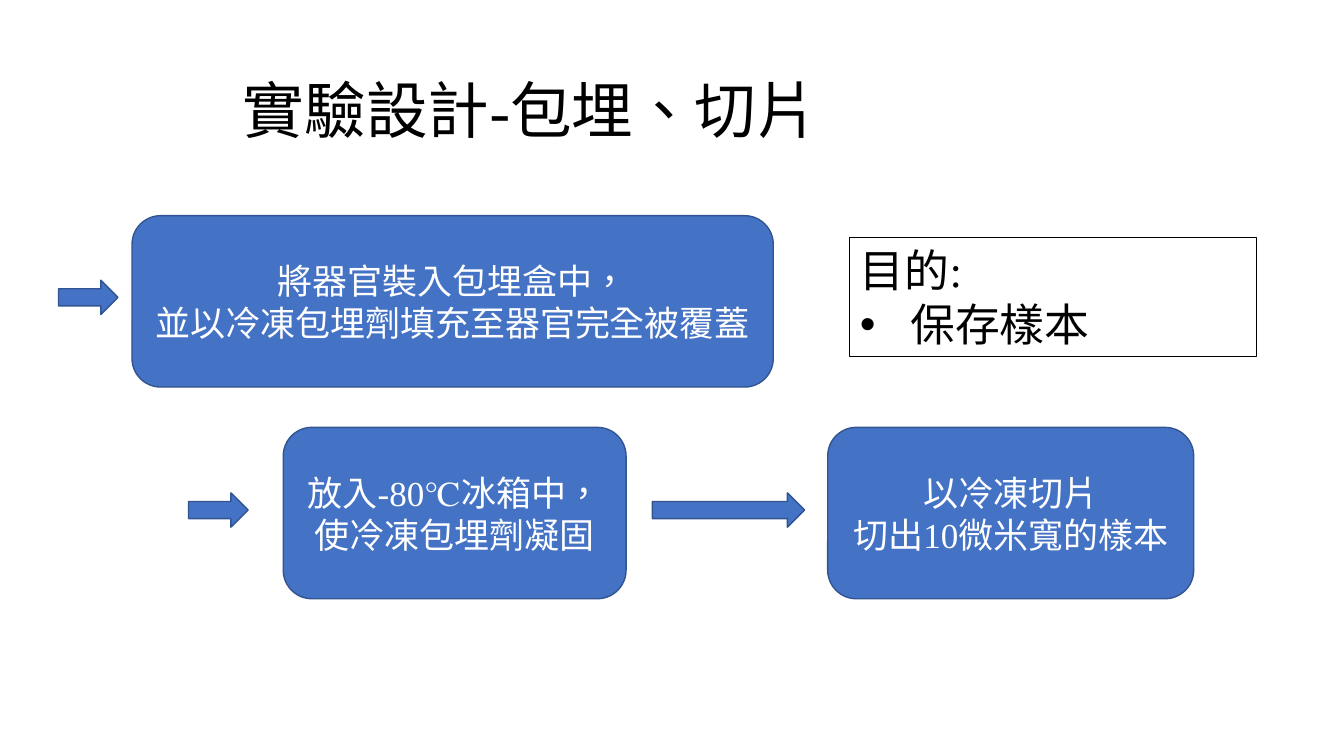
from dataclasses import dataclass

from lxml import etree
from pptx import Presentation
from pptx.dml.color import RGBColor as Rgb
from pptx.enum.lang import MSO_LANGUAGE_ID as Lang
from pptx.enum.shapes import MSO_SHAPE as Shape
from pptx.enum.text import MSO_ANCHOR as Anchor, PP_ALIGN as Align
from pptx.oxml.ns import qn
from pptx.util import Inches, Pt


@dataclass(frozen=True)
class Theme:
    font: str = "Times New Roman"
    blue: Rgb = Rgb(0x44, 0x72, 0xC4)
    edge: Rgb = Rgb(0x32, 0x54, 0x91)
    black: Rgb = Rgb(0, 0, 0)
    white: Rgb = Rgb(255, 255, 255)
    head: int = 44
    goal: int = 32
    step: int = 25


THEME = Theme()


def write(box, text, size, color=THEME.black, align=Align.LEFT,
          anchor=Anchor.MIDDLE, space=None):
    """Fill a box with one paragraph per line of text."""
    frame = box.text_frame
    frame.word_wrap = True
    frame.vertical_anchor = anchor
    for i, line in enumerate(text.split("\n")):
        para = frame.add_paragraph() if i else frame.paragraphs[0]
        para.alignment = align
        para.line_spacing = space
        run = para.add_run()
        run.text = line
        font = run.font
        font.name, font.size = THEME.font, Pt(size)
        font.color.rgb = color
        font.language_id = Lang.TRADITIONAL_CHINESE
    return frame


def bullet(para, indent):
    props = para._p.get_or_add_pPr()
    props.set("marL", str(indent))
    props.set("indent", str(-indent))
    etree.SubElement(props, qn("a:buFont")).set("typeface", "Arial")
    etree.SubElement(props, qn("a:buChar")).set("char", "•")


def block(slide, kind, left, top, width, height):
    """Add a blue preset shape."""
    shape = slide.shapes.add_shape(
        kind, Inches(left), Inches(top), Inches(width), Inches(height))
    shape.shadow.inherit = False
    shape.fill.solid()
    shape.fill.fore_color.rgb = THEME.blue
    shape.line.color.rgb = THEME.edge
    shape.line.width = Pt(1)
    return shape


def arrow(slide, left, top, width):
    block(slide, Shape.RIGHT_ARROW, left, top, width, 0.34)


def step(slide, text, left, top, width):
    box = block(slide, Shape.FLOWCHART_ALTERNATE_PROCESS,
                left, top, width, 1.7)
    write(box, text, THEME.step, THEME.white, Align.CENTER)


def title(slide, text):
    box = slide.shapes.add_textbox(
        Inches(2.31), Inches(0.4), Inches(10.11), Inches(1.45))
    write(box, text, THEME.head, space=0.9)


def goal(slide, text):
    box = slide.shapes.add_textbox(
        Inches(8.43), Inches(2.36), Inches(4.03), Inches(1.18))
    box.line.color.rgb = THEME.black
    box.line.width = Pt(0.75)
    frame = write(box, text, THEME.goal, anchor=Anchor.TOP)
    for para in frame.paragraphs[1:]:
        bullet(para, Inches(0.5))


def main():
    deck = Presentation()
    deck.slide_width, deck.slide_height = Inches(13.33), Inches(7.5)
    slide = deck.slides.add_slide(deck.slide_layouts[6])

    title(slide, "實驗設計-包埋、切片")

    # Embedding and its purpose
    arrow(slide, 0.58, 2.78, 0.59)
    step(slide, "將器官裝入包埋盒中，\n並以冷凍包埋劑填充至器官完全被覆蓋",
         1.31, 2.14, 6.36)
    goal(slide, "目的:\n保存樣本")

    # Freezing, then slicing
    low, mid = 4.24, 4.89
    arrow(slide, 1.87, mid, 0.59)
    step(slide, "放入-80℃冰箱中，使冷凍包埋劑凝固", 2.81, low, 3.4)
    arrow(slide, 6.47, mid, 1.51)
    step(slide, "以冷凍切片\n切出10微米寬的樣本", 8.21, low, 3.63)

    deck.save("out.pptx")


if __name__ == "__main__":
    main()
